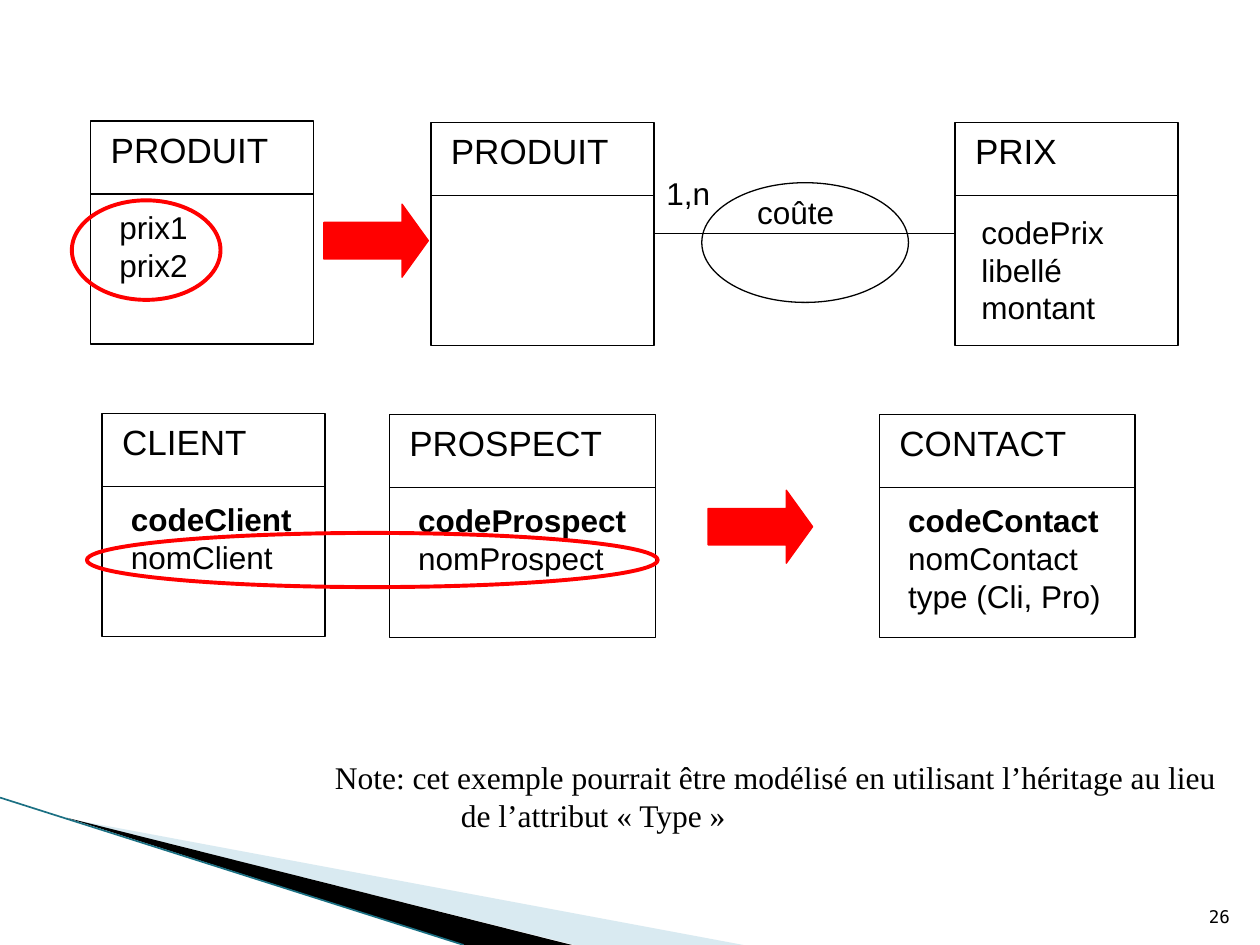
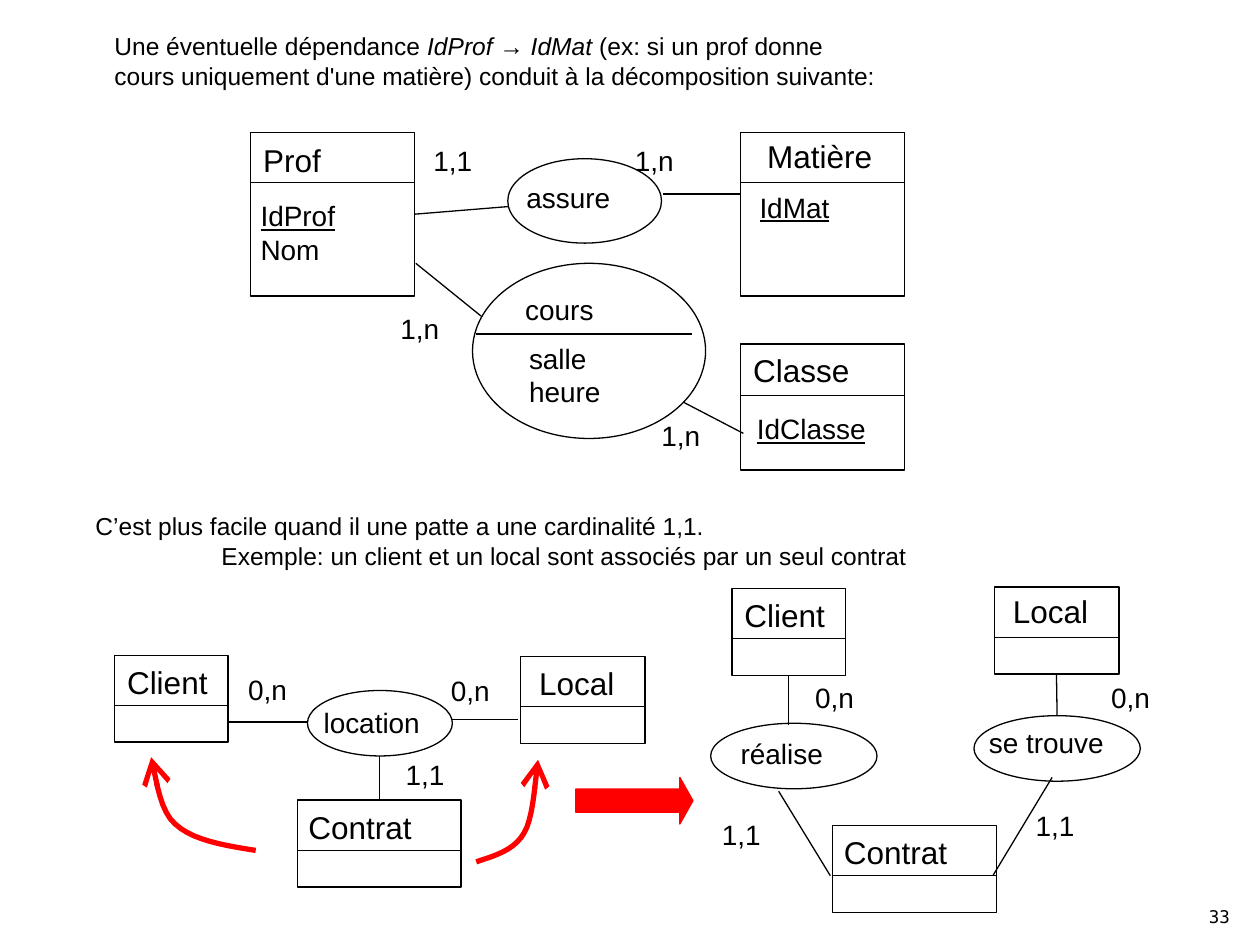
from dataclasses import dataclass
from typing import Optional

from lxml.etree import SubElement
from pptx import Presentation
from pptx.dml.color import RGBColor
from pptx.enum.shapes import MSO_CONNECTOR, MSO_SHAPE as SHAPE
from pptx.enum.text import MSO_ANCHOR, PP_ALIGN
from pptx.oxml.ns import qn
from pptx.util import Inches, Pt

BLACK = RGBColor(0x00, 0x00, 0x00)
WHITE = RGBColor(0xFF, 0xFF, 0xFF)
RED = RGBColor(0xFF, 0x00, 0x00)
PALE_BLUE = RGBColor(0xA0, 0xCB, 0xDC)
BAND_EDGE = RGBColor(0x1B, 0x70, 0x83)

SANS, SERIF, MONO = "Arial", "Times New Roman", "DejaVu Sans Mono"
THIN = 0.75
TOP, LEFT, BOTTOM, RIGHT = range(4)
Point = tuple[float, float]


@dataclass(frozen=True)
class EntityStyle:
    name_size: int
    attr_size: int
    key_mark: str  # font property that marks the identifier


@dataclass(frozen=True)
class Entity:
    name: str
    x: float
    y: float
    w: float
    h: float
    divider: float
    name_at: Point  # offset from the top left corner
    name_w: float
    attrs: tuple[str, ...] = ()
    attrs_at: Point = (0.13, 0.64)
    attrs_w: float = 0
    has_key: bool = False


@dataclass(frozen=True)
class Association:
    name: str
    x: float
    y: float
    w: float
    h: float
    name_at: Point
    name_w: float
    filled: bool = False


@dataclass(frozen=True)
class Link:
    start: Point
    end: Point
    start_entity: Optional[int] = None
    start_side: int = BOTTOM
    end_entity: Optional[int] = None
    end_side: int = TOP


@dataclass(frozen=True)
class Cardinality:
    text: str
    x: float
    y: float
    size: int = 16


def add_text(s, x: float, y: float, w: float, lines: tuple[str, ...], size: int, font: str = SANS):
    height = 0.1 + len(lines) * size * 1.16 / 72
    tf = s.shapes.add_textbox(Inches(x), Inches(y), Inches(w), Inches(height)).text_frame
    tf.word_wrap = False
    for i, line in enumerate(lines):
        p = tf.add_paragraph() if i else tf.paragraphs[0]
        p.add_run().text = line
        p.font.size = Pt(size)
        p.font.name = font
        p.font.color.rgb = BLACK
    return tf


def indent_second_line(tf) -> None:
    tf.word_wrap = True
    tf.paragraphs[1]._p.get_or_add_pPr().set("marL", str(Inches(1)))


def add_shape(s, kind, x: float, y: float, w: float, h: float,
              fill: Optional[RGBColor] = None, line: RGBColor = BLACK, weight: float = THIN):
    sp = s.shapes.add_shape(kind, Inches(x), Inches(y), Inches(w), Inches(h))
    sp.shadow.inherit = False
    if fill is None:
        sp.fill.background()
    else:
        sp.fill.solid()
        sp.fill.fore_color.rgb = fill
    sp.line.color.rgb = line
    sp.line.width = Pt(weight)
    return sp


def add_line(s, start: Point, end: Point, color: RGBColor = BLACK, weight: float = THIN):
    cxn = s.shapes.add_connector(MSO_CONNECTOR.STRAIGHT, *map(Inches, start + end))
    cxn.line.color.rgb = color
    cxn.line.width = Pt(weight)
    SubElement(cxn._element.spPr, qn("a:effectLst"))
    return cxn


def add_outline(s, points: list[Point], close: bool):
    pts = [(Inches(x), Inches(y)) for x, y in points]
    builder = s.shapes.build_freeform(*pts[0])
    builder.add_line_segments(pts[1:], close=close)
    sp = builder.convert_to_shape()
    sp.shadow.inherit = False
    return sp


def add_entity(s, e: Entity, style: EntityStyle):
    box = add_shape(s, SHAPE.RECTANGLE, e.x, e.y, e.w, e.h, WHITE)
    add_line(s, (e.x, e.y + e.divider), (e.x + e.w, e.y + e.divider))
    add_text(s, e.x + e.name_at[0], e.y + e.name_at[1], e.name_w, (e.name,), style.name_size)
    if e.attrs:
        tf = add_text(s, e.x + e.attrs_at[0], e.y + e.attrs_at[1], e.attrs_w, e.attrs, style.attr_size)
        if e.has_key:
            setattr(tf.paragraphs[0].font, style.key_mark, True)
    return box


def add_model(s, style: EntityStyle, entities: list[Entity], associations: list[Association],
              links: list[Link], cardinalities: list[Cardinality]) -> None:
    """Draw an entity-association diagram."""
    boxes = [add_entity(s, e, style) for e in entities]
    for a in associations:
        add_shape(s, SHAPE.OVAL, a.x, a.y, a.w, a.h, WHITE if a.filled else None)
        add_text(s, a.x + a.name_at[0], a.y + a.name_at[1], a.name_w, (a.name,), style.attr_size)
    for link in links:
        cxn = add_line(s, link.start, link.end)
        if link.start_entity is not None:
            cxn.begin_connect(boxes[link.start_entity], link.start_side)
        if link.end_entity is not None:
            cxn.end_connect(boxes[link.end_entity], link.end_side)
    for c in cardinalities:
        add_text(s, c.x, c.y, 0.2 + 0.02 * c.size, (c.text,), c.size)


def add_block_arrow(s, x: float, y: float, w: float, h: float, head: float) -> None:
    arrow = add_shape(s, SHAPE.RIGHT_ARROW, x, y, w, h, RED, RED)
    arrow.adjustments[0] = 0.5
    arrow.adjustments[1] = head


def bezier(p0: Point, p1: Point, p2: Point, p3: Point, steps: int = 10) -> list[Point]:
    """Points along a cubic curve, without its first one."""
    def at(t: float, axis: int) -> float:
        u = 1 - t
        return (u**3 * p0[axis] + 3 * u * u * t * p1[axis]
                + 3 * u * t * t * p2[axis] + t**3 * p3[axis])
    return [(at(i / steps, 0), at(i / steps, 1)) for i in range(1, steps + 1)]


def add_curved_arrow(s, points: list[Point]) -> None:
    curve = [points[0]] + bezier(*points[:4]) + bezier(*points[3:])
    sp = add_outline(s, curve, close=False)
    sp.fill.background()
    sp.line.color.rgb = RED
    sp.line.width = Pt(3)
    SubElement(sp.line._get_or_add_ln(), qn("a:tailEnd"), type="arrow", w="lg", len="lg")


def add_corner_band(s) -> None:
    pale = add_outline(s, [(0.55, 6.5), (5.9, 7.5), (4.56, 7.5)], close=True)
    dark = add_outline(s, [(0.53, 6.49), (4.54, 7.5), (3.68, 7.5)], close=True)
    for sp, color in ((pale, PALE_BLUE), (dark, BLACK)):
        sp.fill.solid()
        sp.fill.fore_color.rgb = color
        sp.line.fill.background()
    color_el = pale._element.spPr.find(qn("a:solidFill"))[0]
    SubElement(color_el, qn("a:alpha"), val="40000")
    add_line(s, (0, 6.33), (3.68, 7.5), BAND_EDGE, 0.95)


def add_slide(prs, number: int):
    s = prs.slides.add_slide(prs.slide_layouts[6])
    tf = add_text(s, 9.46, 7.01, 0.4, (str(number),), 10, MONO)
    s.shapes[0].height = Inches(0.4)
    tf.word_wrap = True
    tf.vertical_anchor = MSO_ANCHOR.BOTTOM
    tf.paragraphs[0].alignment = PP_ALIGN.RIGHT
    return s


def add_repeated_attributes_slide(prs) -> None:
    s = add_slide(prs, 26)
    add_corner_band(s)
    side, divider, name_at = 1.77, 0.58, (0.06, 0.01)
    entities = [
        Entity("PRODUIT", 0.72, 0.96, side, side, divider, name_at, 1.45,
               ("prix1", "prix2"), attrs_w=0.74),
        Entity("PRODUIT", 3.42, 0.97, side, side, divider, name_at, 1.45),
        Entity("PRIX", 7.58, 0.97, side, side, divider, name_at, 0.86,
               ("codePrix", "libellé", "montant"), (0.11, 0.67), 1.18),
        Entity("CLIENT", 0.81, 3.28, side, side, divider, name_at, 1.19,
               ("codeClient", "nomClient"), attrs_w=1.49, has_key=True),
        Entity("PROSPECT", 3.09, 3.29, 2.11, side, divider, name_at, 1.73,
               ("codeProspect", "nomProspect"), attrs_w=1.87, has_key=True),
        Entity("CONTACT", 6.98, 3.29, 2.03, side, divider, name_at, 1.55,
               ("codeContact", "nomContact", "type (Cli, Pro)"), attrs_w=1.73, has_key=True),
    ]
    add_model(
        s, EntityStyle(20, 18, "bold"), entities,
        [Association("coûte", 5.57, 1.45, 1.64, 0.95, (0.34, 0.03), 0.81)],
        [Link((5.19, 1.86), (7.58, 1.86), 1, RIGHT, 2, LEFT)],
        [Cardinality("1,n", 5.19, 1.33, 18)],
    )
    for x, y in ((2.57, 1.62), (5.62, 3.89)):
        add_block_arrow(s, x, y, 0.83, 0.58, 0.36)
    for x, y, w, h in ((0.57, 1.59, 1.18, 0.79), (0.69, 4.23, 4.53, 0.43)):
        add_shape(s, SHAPE.OVAL, x, y, w, h, line=RED, weight=2.25)
    indent_second_line(add_text(
        s, 2.56, 5.97, 7.4,
        ("Note: cet exemple pourrait être modélisé en utilisant l’héritage au lieu",
         "de l’attribut « Type »"), 18, SERIF))


def add_decomposition_slide(prs) -> None:
    s = add_slide(prs, 33)
    tf = add_text(s, 0.81, 0.2, 6.26,
                  ("Une éventuelle dépendance ",
                   "cours uniquement d'une matière) conduit à la décomposition suivante:"), 14)
    for text, italic in (("IdProf → IdMat ", True), ("(ex: si un prof donne", False)):
        r = tf.paragraphs[0].add_run()
        r.text = text
        r.font.italic = italic
    indent_second_line(add_text(
        s, 0.66, 4.01, 8.73,
        ("C’est plus facile quand il une patte a une cardinalité 1,1.",
         "Exemple: un client et un local sont associés par un seul contrat"), 14))

    style = EntityStyle(18, 16, "underline")
    add_model(
        s, style,
        [Entity("Prof", 1.99, 1.05, 1.3, 1.3, 0.4, (0, 0.02), 0.66,
                ("IdProf", "Nom"), (-0.02, 0.48), 0.8, True),
         Entity("Matière", 5.88, 1.05, 1.3, 1.3, 0.4, (0.11, -0.01), 1.04,
                ("IdMat",), (0.05, 0.41), 0.76, True),
         Entity("Classe", 5.88, 2.73, 1.3, 1, 0.41, (0, 0.01), 1.3,
                ("IdClasse",), (0.03, 0.49), 1.07, True)],
        [Association("cours", 3.75, 2.09, 1.85, 1.39, (0.32, 0.18), 0.75, True),
         Association("assure", 4.03, 1.26, 1.22, 0.67, (0.05, 0.12), 0.88, True)],
        [Link((3.29, 1.7), (4.03, 1.64), 0, RIGHT),
         Link((3.3, 2.09), (3.82, 2.51)),
         Link((5.42, 3.19), (5.9, 3.44)),
         Link((5.26, 1.54), (5.87, 1.54))],
        [Cardinality("1,1", 3.34, 1.09), Cardinality("1,n", 4.94, 1.09),
         Cardinality("1,n", 3.08, 2.42), Cardinality("1,n", 5.15, 3.27)],
    )
    add_line(s, (3.78, 2.65), (5.49, 2.65))
    add_text(s, 4.1, 2.66, 0.78, ("salle", "heure"), 16)

    def client(x: float, y: float) -> Entity:
        return Entity("Client", x, y, 0.9, 0.69, 0.4, (0, 0.01), 0.85)

    def local(x: float, y: float, name_dy: float) -> Entity:
        return Entity("Local", x, y, 0.99, 0.69, 0.4, (0.05, name_dy), 0.81)

    def contract(x: float, y: float) -> Entity:
        return Entity("Contrat", x, y, 1.3, 0.69, 0.4, (-0.01, 0.01), 1.03)

    add_model(
        s, style,
        [client(0.91, 5.2), local(4.13, 5.21, 0.01), contract(2.36, 6.35)],
        [Association("location", 2.44, 5.48, 1.15, 0.52, (0.03, 0.07), 0.97)],
        [Link((1.81, 5.73), (2.44, 5.73)),
         Link((3.59, 5.71), (4.11, 5.71)),
         Link((3.01, 6), (3.01, 6.35), end_entity=2)],
        [Cardinality("0,n", 1.87, 5.29), Cardinality("0,n", 3.48, 5.3),
         Cardinality("1,1", 3.12, 5.96)],
    )
    add_model(
        s, style,
        [client(5.81, 4.67), local(7.89, 4.66, -0.01), contract(6.61, 6.55)],
        [Association("réalise", 5.64, 5.74, 1.32, 0.52, (0.14, 0.06), 0.86),
         Association("se trouve", 7.73, 5.68, 1.32, 0.52, (0.02, 0.03), 1.12)],
        [Link((6.26, 5.36), (6.26, 5.75), 0),
         Link((8.39, 5.35), (8.39, 5.68), 1),
         Link((6.18, 6.28), (6.59, 6.95)),
         Link((7.88, 6.95), (8.35, 6.17))],
        [Cardinality("1,1", 5.63, 6.44), Cardinality("1,1", 8.12, 6.37),
         Cardinality("0,n", 6.37, 5.35), Cardinality("0,n", 8.72, 5.35)],
    )
    add_block_arrow(s, 4.57, 6.17, 0.93, 0.37, 0.28)
    add_curved_arrow(s, [(2.03, 6.75), (1.78, 6.71), (1.53, 6.67), (1.39, 6.54),
                         (1.25, 6.42), (1.23, 6.09), (1.2, 6.01)])
    add_curved_arrow(s, [(3.78, 6.84), (3.93, 6.79), (4.08, 6.75), (4.16, 6.61),
                         (4.24, 6.48), (4.25, 6.13), (4.27, 6.03)])


def main() -> None:
    prs = Presentation()
    prs.slide_width, prs.slide_height = Inches(10), Inches(7.5)
    add_repeated_attributes_slide(prs)
    add_decomposition_slide(prs)
    prs.save("out.pptx")


if __name__ == "__main__":
    main()
